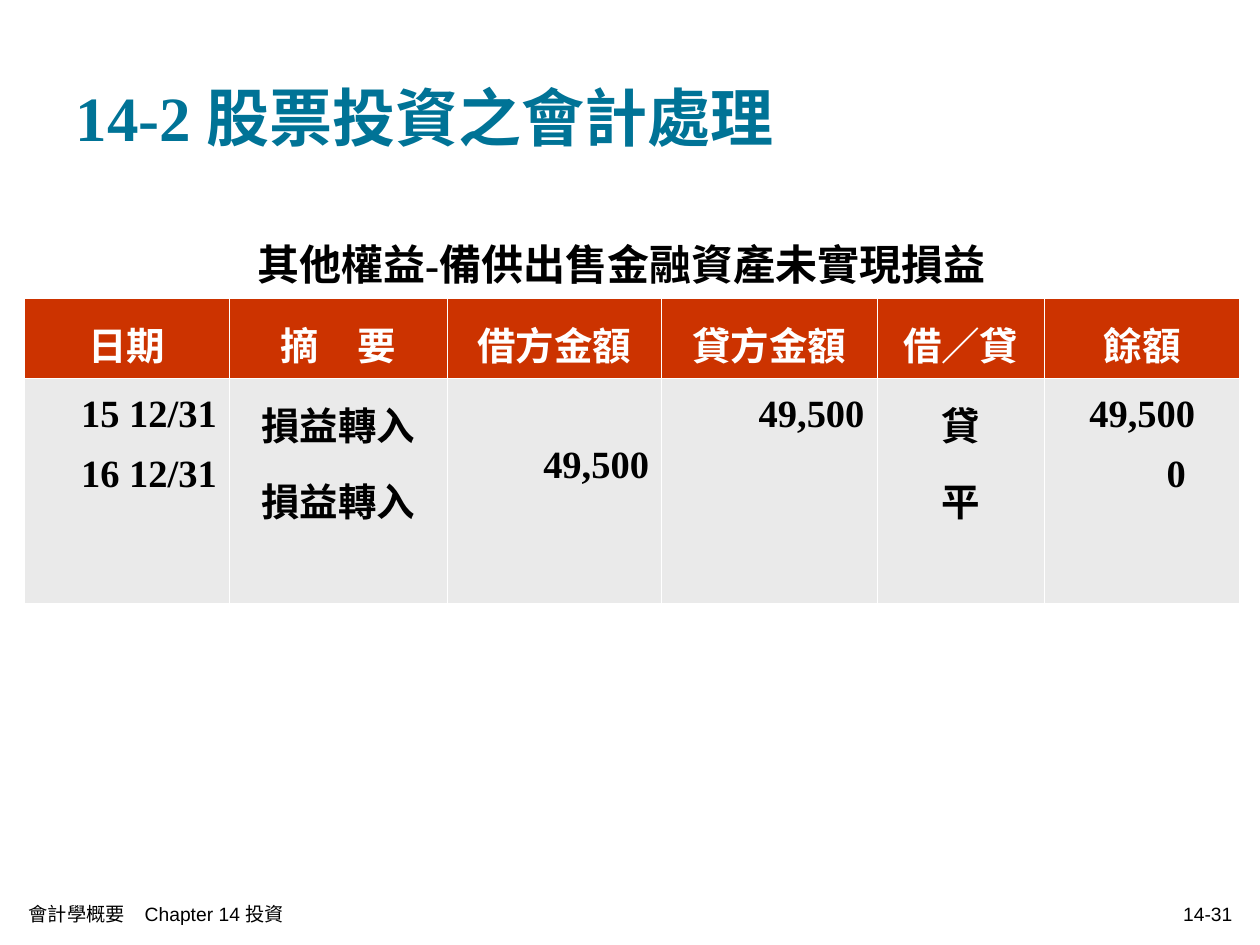
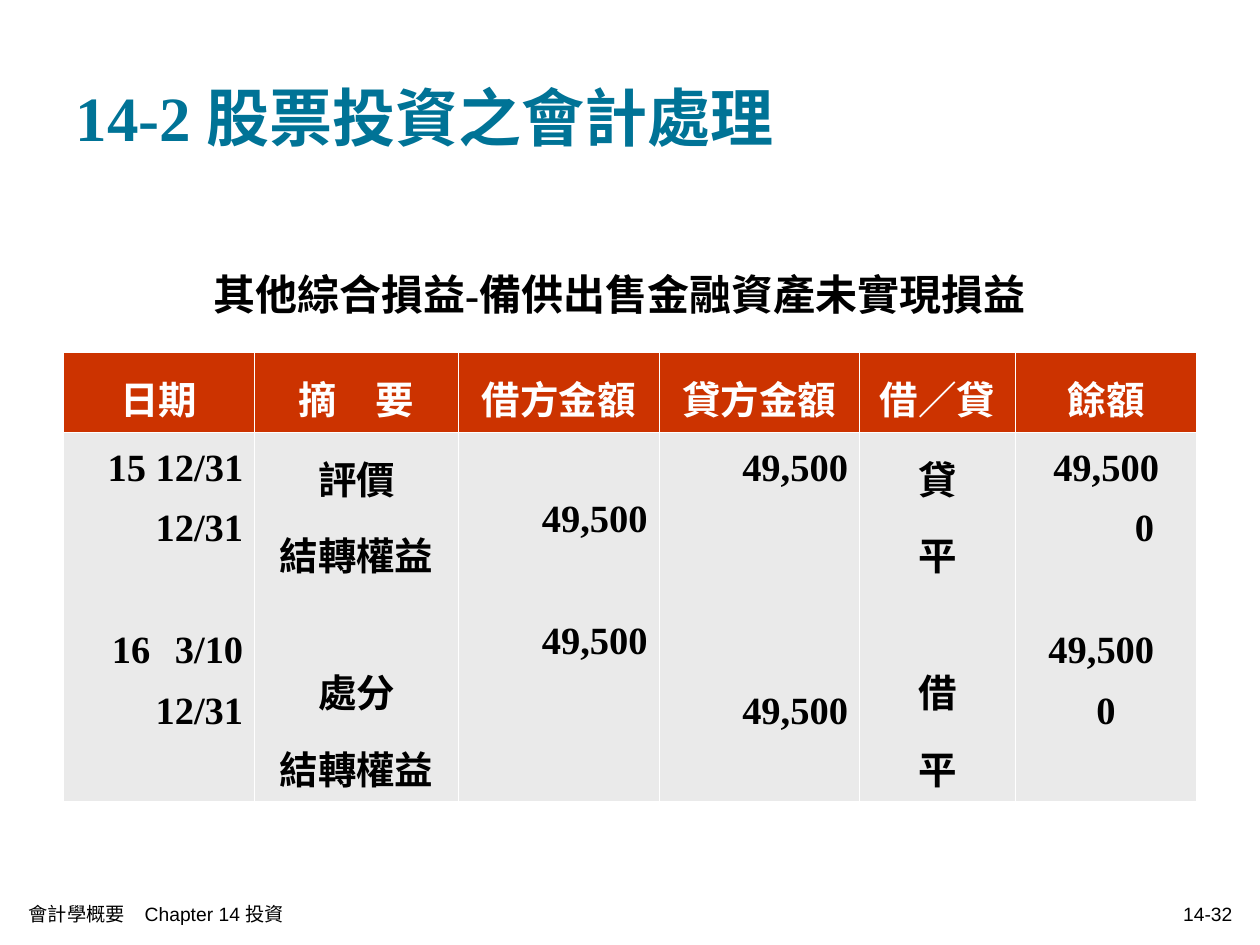
"""Build two ledger slides on the accounting for share investments."""
from lxml import etree
from pptx import Presentation
from pptx.dml.color import RGBColor
from pptx.enum.text import MSO_ANCHOR, MSO_AUTO_SIZE, PP_ALIGN
from pptx.oxml.ns import qn
from pptx.util import Inches, Pt

LEFT, CENTER, RIGHT = PP_ALIGN.LEFT, PP_ALIGN.CENTER, PP_ALIGN.RIGHT
MIDDLE, TOP = MSO_ANCHOR.MIDDLE, MSO_ANCHOR.TOP
NO_FIT = MSO_AUTO_SIZE.NONE

TEAL, BLACK, WHITE, RED, GRAY = "007396", "000000", "FFFFFF", "CC3300", "EAEAEA"
SERIF, SANS, CJK = "Times New Roman", "Arial", "Noto Sans CJK SC"
CELL_SIZE, SPACE_BEFORE, LINE_SPACING = 22, 5.5, 1.2
SKIPPED_LINE = 34.7
SKIPPED_FIRST_LINE = 0.41

TITLE = "14-2 股票投資之會計處理"
FOOTER = "會計學概要　Chapter 14 投資"
HEADINGS = ["日期", "摘　要", "借方金額", "貸方金額", "借／貸", "餘額"]
ALIGNMENTS = [RIGHT, CENTER, RIGHT, RIGHT, CENTER, CENTER]

LEDGERS = [
    {
        "account": "其他權益-備供出售",
        "number": "14-31",
        "at": (0.19, 1.69, 9.65, 2.99),
        "columns": [1.63, 1.73, 1.7, 1.71, 1.33, 1.55],
        "rows": [0.66, 0.54, 1.79],
        "inset": 0.1,
        "zero_indent": 0.54,
        "entries": [
            ["15 12/31", "16 12/31"],
            ["損益轉入", "損益轉入"],
            ["", "49,500"],
            ["49,500"],
            ["貸", "平"],
            ["49,500", "0"],
        ],
    },
    {
        "account": "其他綜合損益-備供出售",
        "number": "14-32",
        "at": (0.5, 1.75, 9, 4.45),
        "columns": [1.52, 1.62, 1.59, 1.59, 1.24, 1.44],
        "rows": [1.05, 0.54, 2.86],
        "inset": 0.09,
        "zero_indent": 0.61,
        "entries": [
            ["15 12/31", "12/31", "", "3/10", "12/31"],
            ["評價", "結轉權益", "", "處分", "結轉權益"],
            ["", "49,500", "", "49,500"],
            ["49,500", "", "", "", "49,500"],
            ["貸", "平", "", "借", "平"],
            ["49,500", "0", "", "49,500 ", "0"],
        ],
    },
]


def rgb(value):
    """Return the colour for a hex string."""
    return RGBColor.from_string(value)


def add_span(para, text, size, color, font=SERIF, bold=True):
    """Add one formatted run to a paragraph."""
    span = para.add_run()
    span.text = text
    span.font.size = Pt(size)
    span.font.bold = bold
    span.font.name = font
    span.font.color.rgb = rgb(color)
    properties = span.font._element
    etree.SubElement(properties, qn("a:ea"), typeface=CJK)


deck = Presentation()
deck.slide_width = Inches(10)
deck.slide_height = Inches(7.5)

for ledger in LEDGERS:
    page = deck.slides.add_slide(deck.slide_layouts[5])
    page.background.fill.solid()
    page.background.fill.fore_color.rgb = rgb(WHITE)

    title = page.shapes.title
    title.left, title.top = Inches(0.5), Inches(0.3)
    title.width, title.height = Inches(9), Inches(1.25)
    title.text_frame.auto_size = NO_FIT
    title.text_frame.vertical_anchor = MIDDLE
    para = title.text_frame.paragraphs[0]
    para.alignment = LEFT
    add_span(para, TITLE, 36, TEAL)

    frame = page.shapes.add_table(3, 6, *[Inches(length) for length in ledger["at"]])
    table = frame.table
    table.first_row = False
    table.horz_banding = False
    for column, width in zip(table.columns, ledger["columns"]):
        column.width = Inches(width)
    for row, height in zip(table.rows, ledger["rows"]):
        row.height = Inches(height)

    for row_index, fill in enumerate([None, RED, GRAY]):
        for cell in table.rows[row_index].cells:
            cell.vertical_anchor = TOP if fill == GRAY else MIDDLE
            cell.margin_left = cell.margin_right = Inches(ledger["inset"])
            cell.margin_top = cell.margin_bottom = Inches(0.05)
            properties = cell._tc.get_or_add_tcPr()
            for side in ("lnL", "lnR", "lnT", "lnB"):
                line = etree.SubElement(properties, qn("a:" + side), w=str(Pt(0.45)))
                paint = etree.SubElement(line, qn("a:solidFill"))
                etree.SubElement(paint, qn("a:srgbClr"), val=WHITE)
            if fill:
                cell.fill.solid()
                cell.fill.fore_color.rgb = rgb(fill)
            else:
                cell.fill.background()

    account = table.cell(0, 0)
    account.merge(table.cell(0, 5))
    account.margin_right = Inches(ledger["inset"] + 0.17)
    para = account.text_frame.paragraphs[0]
    para.alignment = CENTER
    para.line_spacing = LINE_SPACING
    para.space_before = Pt(6)
    add_span(para, ledger["account"], 24, BLACK)
    add_span(para, "金融資產未實現損益", 24, BLACK, CJK)

    for column_index, heading in enumerate(HEADINGS):
        para = table.cell(1, column_index).text_frame.paragraphs[0]
        para.alignment = CENTER
        para.line_spacing = LINE_SPACING
        para.space_before = Pt(SPACE_BEFORE)
        add_span(para, heading, CELL_SIZE, WHITE)

        cell = table.cell(2, column_index)
        para = None
        skipped = 0
        for line_index, text in enumerate(ledger["entries"][column_index]):
            if not text:
                skipped += 1
                continue
            if para is None:
                para = cell.text_frame.paragraphs[0]
                cell.margin_top = Inches(0.05 + skipped * SKIPPED_FIRST_LINE)
                skipped = 0
            else:
                para = cell.text_frame.add_paragraph()
            para.alignment = ALIGNMENTS[column_index]
            para.line_spacing = LINE_SPACING
            para.space_before = Pt(SPACE_BEFORE + skipped * SKIPPED_LINE)
            skipped = 0
            properties = para._p.get_or_add_pPr()
            if text == "0" and line_index == 1:
                properties.set("marL", str(Inches(ledger["zero_indent"])))
            if text == "3/10":
                properties.set("marL", str(Inches(0.5)))
                properties.set("indent", str(Inches(-0.5)))
                bullet_color = etree.SubElement(properties, qn("a:buClr"))
                etree.SubElement(bullet_color, qn("a:srgbClr"), val=BLACK)
                etree.SubElement(properties, qn("a:buAutoNum"), type="arabicPlain", startAt="16")
            add_span(para, text, CELL_SIZE, BLACK)

    for text, left, width, alignment in [
        (FOOTER, 0.13, 5.1, LEFT),
        (ledger["number"], 6.8, 3.08, RIGHT),
    ]:
        box = page.shapes.add_textbox(Inches(left), Inches(7.09), Inches(width), Inches(0.33))
        box.text_frame.word_wrap = True
        box.text_frame.vertical_anchor = MIDDLE
        para = box.text_frame.paragraphs[0]
        para.alignment = alignment
        add_span(para, text, 11, BLACK, SANS, False)

deck.save("out.pptx")
